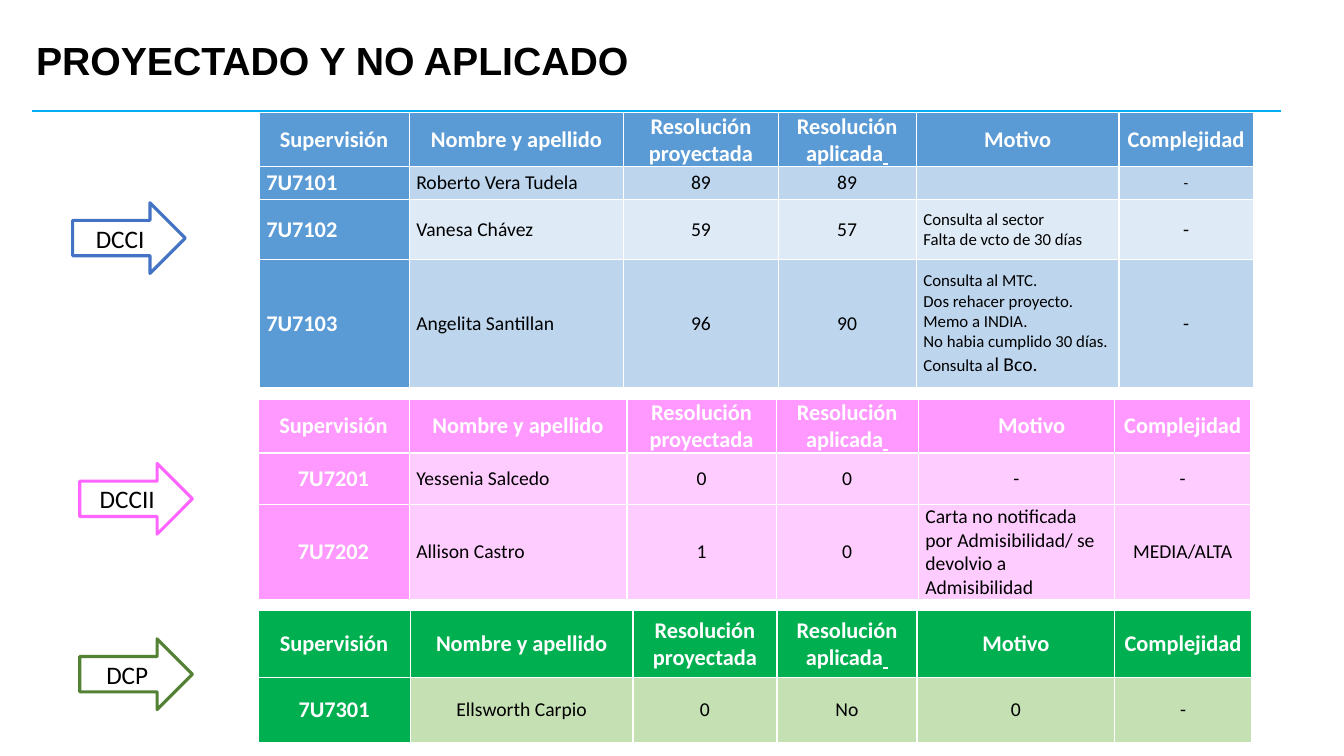
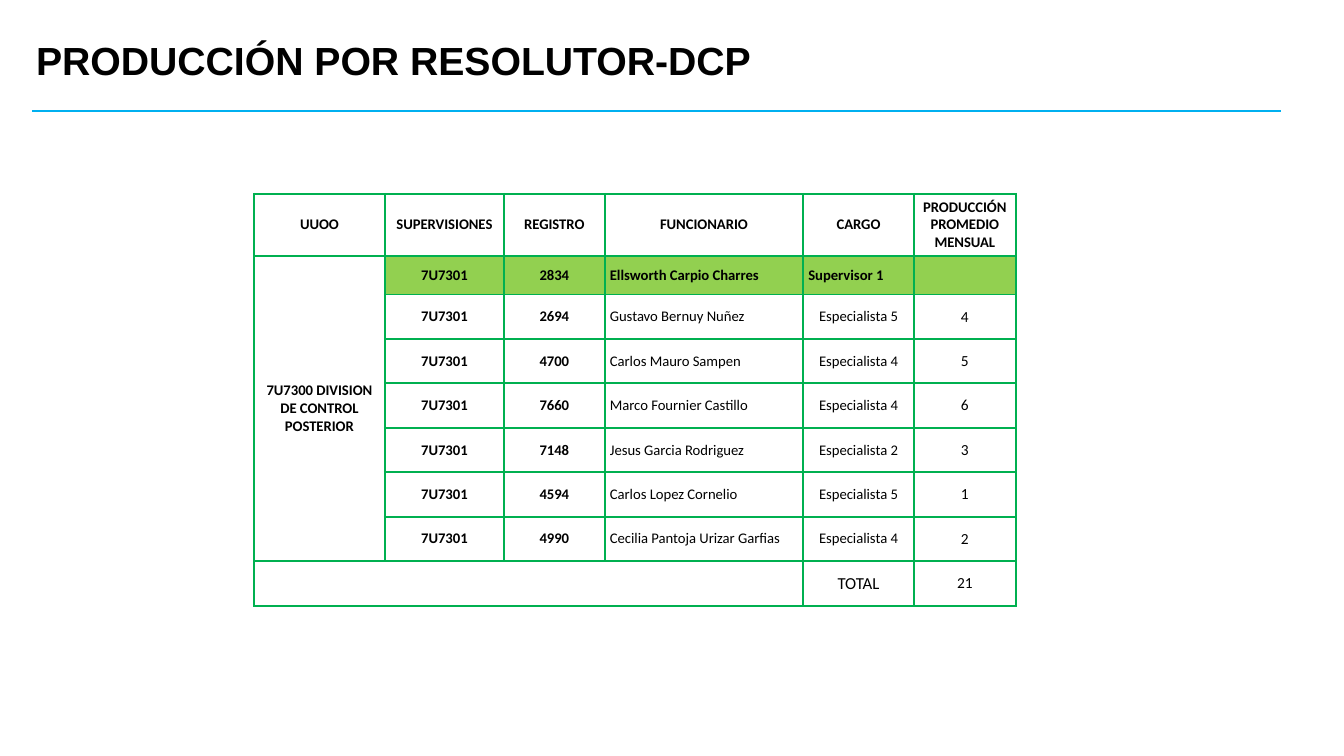
from lxml.etree import SubElement
from pptx import Presentation
from pptx.dml.color import RGBColor
from pptx.enum.shapes import MSO_CONNECTOR, MSO_SHAPE
from pptx.enum.text import MSO_ANCHOR, PP_ALIGN
from pptx.oxml.ns import qn
from pptx.util import Cm, Pt

BLACK = RGBColor(0x00, 0x00, 0x00)
WHITE = RGBColor(0xFF, 0xFF, 0xFF)
RULE_BLUE = RGBColor(0x00, 0xB0, 0xF0)
ARROW_BLUE = RGBColor(0x44, 0x72, 0xC4)
ARROW_PINK = RGBColor(0xFF, 0x66, 0xFF)
ARROW_GREEN = RGBColor(0x54, 0x82, 0x35)
BLUE = RGBColor(0x5B, 0x9B, 0xD5)
BLUE_MID = RGBColor(0xBD, 0xD6, 0xEE)
BLUE_PALE = RGBColor(0xDE, 0xEA, 0xF6)
PINK = RGBColor(0xFF, 0x99, 0xFF)
PINK_PALE = RGBColor(0xFF, 0xCC, 0xFF)
GREEN = RGBColor(0x00, 0xB0, 0x50)
GREEN_PALE = RGBColor(0xC5, 0xE0, 0xB3)
LIME = RGBColor(0x92, 0xD0, 0x50)

TITLE_FONT, BODY_FONT = "Arial", "Calibri"
LEFT, CENTER = PP_ALIGN.LEFT, PP_ALIGN.CENTER

# A cell holds plain text, or a list of paragraphs made of (text, size, underline) runs.
REASONS_7103 = [
    [("Consulta al MTC.", 12, False)],
    [("Dos rehacer proyecto.", 12, False)],
    [("Memo a INDIA.", 12, False)],
    [("No habia cumplido 30 días.", 12, False)],
    [("Consulta a", 12, False), ("l Bco.", 14, False)],
]
APPLIED = [[("Resolución", 16, False), (" ", 16, True),
            ("aplicada", 16, False), (" ", 16, True)]]
HEADERS = ["Supervisión", "Nombre y apellido", "Resolución proyectada",
           APPLIED, "Motivo", "Complejidad"]
REASON_COLUMN = 4

DIVISIONS = [
    {"name": "DCCI", "arrow": (1.83, 5.11), "outline": ARROW_BLUE,
     "origin": (6.53, 2.84), "columns": (3.78, 5.41, 3.89, 3.48, 5.11, 3.38),
     "heights": (1.3, 0.84, 1.5, 3.23),
     "strong": BLUE, "bands": (BLUE_MID, BLUE_PALE),
     "code_align": LEFT, "name_align": LEFT, "reason_size": 12, "reason_indent": 0,
     "rows": [
         ["7U7101", "Roberto Vera Tudela", "89", "89", "", [[("-", 11, False)]]],
         ["7U7102", "Vanesa Chávez", "59", "57",
          "Consulta al sector\nFalta de vcto de 30 días", "-"],
         ["7U7103", "Angelita Santillan", "96", "90", REASONS_7103, "-"],
     ]},
    {"name": "DCCII", "arrow": (2.01, 11.68), "outline": ARROW_PINK,
     "origin": (6.5, 10.06), "columns": (3.81, 5.49, 3.76, 3.58, 4.95, 3.43),
     "heights": (1.35, 1.3, 2.39),
     "strong": PINK, "bands": (PINK_PALE,),
     "code_align": CENTER, "name_align": LEFT, "reason_size": 14, "reason_indent": 0.77,
     "rows": [
         ["7U7201", "Yessenia Salcedo", "0", "0", "-", "-"],
         ["7U7202", "Allison Castro", "1", "0",
          "Carta no notificada por Admisibilidad/ se devolvio a Admisibilidad",
          "MEDIA/ALTA"],
     ]},
    {"name": "DCP", "arrow": (2.01, 16.1), "outline": ARROW_GREEN,
     "origin": (6.5, 15.39), "columns": (3.84, 5.61, 3.63, 3.53, 4.98, 3.45),
     "heights": (1.68, 1.63),
     "strong": GREEN, "bands": (GREEN_PALE,),
     "code_align": CENTER, "name_align": CENTER, "reason_size": 14, "reason_indent": 0,
     "rows": [["7U7301", "Ellsworth Carpio", "0", "No", "0", "-"]]},
]

STAFF_HEADERS = ["UUOO", "SUPERVISIONES", "REGISTRO", "FUNCIONARIO", "CARGO",
                 "PRODUCCIÓN PROMEDIO MENSUAL"]
UNIT = "7U7300 DIVISION DE CONTROL POSTERIOR"
SUPERVISION = "7U7301"
STAFF = [
    ("2834", "Ellsworth Carpio Charres", "Supervisor 1", ""),
    ("2694", "Gustavo Bernuy Nuñez", "Especialista 5", "4"),
    ("4700", "Carlos Mauro Sampen", "Especialista 4", "5"),
    ("7660", "Marco Fournier Castillo", "Especialista 4", "6"),
    ("7148", "Jesus Garcia Rodriguez", "Especialista 2", "3"),
    ("4594", "Carlos Lopez Cornelio", "Especialista 5", "1"),
    ("4990", "Cecilia Pantoja Urizar Garfias", "Especialista 4", "2"),
]
STAFF_COLUMNS = (3.3, 3, 2.54, 5, 2.79, 2.57)
STAFF_HEIGHTS = (1.57, 0.97) + (1.12,) * len(STAFF)


def add_titled_slide(deck, title):
    slide = deck.slides.add_slide(deck.slide_layouts[6])
    rule = slide.shapes.add_connector(
        MSO_CONNECTOR.STRAIGHT, Cm(0.81), Cm(2.79), Cm(32.28), Cm(2.79))
    rule.line.color.rgb = RULE_BLUE
    rule.line.width = Pt(1.5)
    SubElement(rule._element.spPr, qn("a:effectLst"))

    heading = slide.shapes.add_textbox(Cm(0.66), Cm(0.69), Cm(29.21), Cm(1.78)).text_frame
    heading.word_wrap = True
    heading.vertical_anchor = MSO_ANCHOR.MIDDLE
    heading.text = title
    heading.paragraphs[0].line_spacing = 0.9
    style_run(heading.paragraphs[0].runs[0], 28, BLACK, True, TITLE_FONT)
    return slide


def style_run(run, size, color, bold=False, font=BODY_FONT):
    run.font.name = font
    run.font.size = Pt(size)
    run.font.bold = bold
    run.font.color.rgb = color


def add_arrow(slide, label, position, outline):
    arrow = slide.shapes.add_shape(
        MSO_SHAPE.RIGHT_ARROW, *map(Cm, position), Cm(2.84), Cm(1.78))
    arrow.shadow.inherit = False
    arrow.fill.solid()
    arrow.fill.fore_color.rgb = WHITE
    arrow.line.color.rgb = outline
    arrow.line.width = Pt(2.25)
    frame = arrow.text_frame
    frame.text = label
    frame.vertical_anchor = MSO_ANCHOR.MIDDLE
    frame.paragraphs[0].alignment = CENTER
    style_run(frame.paragraphs[0].runs[0], 18, BLACK)


def add_grid(slide, origin, columns, heights, border, border_width, margin):
    """Add an empty table with one border style and one side margin for all cells."""
    table = slide.shapes.add_table(
        len(heights), len(columns), *map(Cm, origin),
        Cm(sum(columns)), Cm(sum(heights))).table
    table.first_row = table.horz_banding = False
    for column, width in zip(table.columns, columns):
        column.width = Cm(width)
    for row, height in zip(table.rows, heights):
        row.height = Cm(height)
    for cell in table.iter_cells():
        cell.margin_left = cell.margin_right = Cm(margin)
        cell.margin_top = cell.margin_bottom = 0
        cell.vertical_anchor = MSO_ANCHOR.MIDDLE
        for side in ("a:lnL", "a:lnR", "a:lnT", "a:lnB"):
            edge = SubElement(cell._tc.get_or_add_tcPr(), qn(side), w=str(Pt(border_width)))
            SubElement(SubElement(edge, qn("a:solidFill")), qn("a:srgbClr"), val=str(border))
        cell.fill.background()
    return table


def write_cell(cell, content, size, color=BLACK, bold=False, align=CENTER, fill=None):
    if fill is not None:
        cell.fill.solid()
        cell.fill.fore_color.rgb = fill
    frame = cell.text_frame
    if not content:
        SubElement(frame.paragraphs[0]._p, qn("a:endParaRPr"), sz=str(int(size * 100)))
        return
    if isinstance(content, str):
        content = [[(line, size, False)] for line in content.split("\n")]
    for i, pieces in enumerate(content):
        paragraph = frame.add_paragraph() if i else frame.paragraphs[0]
        paragraph.alignment = align
        for text, run_size, underline in pieces:
            run = paragraph.add_run()
            run.text = text
            style_run(run, run_size, color, bold)
            if underline:
                run.font.underline = True


def add_division_table(slide, division):
    table = add_grid(slide, division["origin"], division["columns"],
                     division["heights"], WHITE, 1, 0.18)
    strong, bands = division["strong"], division["bands"]
    for c, header in enumerate(HEADERS):
        write_cell(table.cell(0, c), header, 16, WHITE, True, fill=strong)
    if division["reason_indent"]:
        reason_header = table.cell(0, REASON_COLUMN).text_frame.paragraphs[0]
        reason_header._p.get_or_add_pPr().set("marL", str(Cm(division["reason_indent"])))

    for r, (code, name, *values) in enumerate(division["rows"], 1):
        band = bands[(r - 1) % len(bands)]
        write_cell(table.cell(r, 0), code, 16, WHITE, True, division["code_align"], strong)
        write_cell(table.cell(r, 1), name, 14, align=division["name_align"], fill=band)
        for c, value in enumerate(values, 2):
            is_reason = c == REASON_COLUMN
            write_cell(table.cell(r, c), value,
                       division["reason_size"] if is_reason else 14,
                       align=LEFT if is_reason and len(value) > 1 else CENTER, fill=band)


def add_staff_table(slide):
    table = add_grid(slide, (6.4, 4.88), STAFF_COLUMNS, STAFF_HEIGHTS, GREEN, 1.5, 0.13)
    total_row = len(STAFF) + 1
    for c, header in enumerate(STAFF_HEADERS):
        write_cell(table.cell(0, c), header, 10.5, bold=True)

    table.cell(1, 0).merge(table.cell(len(STAFF), 0))
    write_cell(table.cell(1, 0), UNIT, 10.5, bold=True)
    for r, (register, name, post, output) in enumerate(STAFF, 1):
        lead = r == 1
        fill = LIME if lead else None
        for c, code in enumerate((SUPERVISION, register), 1):
            write_cell(table.cell(r, c), code, 10.5, bold=True, fill=fill)
        write_cell(table.cell(r, 3), name, 10.5, bold=lead, align=LEFT, fill=fill)
        write_cell(table.cell(r, 4), post, 10.5, bold=lead,
                   align=LEFT if lead else CENTER, fill=fill)
        write_cell(table.cell(r, 5), output, 11, fill=fill or WHITE)

    table.cell(total_row, 0).merge(table.cell(total_row, 3))
    total = sum(int(output or 0) for *_, output in STAFF)
    write_cell(table.cell(total_row, 4), "TOTAL", 12)
    write_cell(table.cell(total_row, 5), str(total), 11, fill=WHITE)


def main():
    deck = Presentation()
    deck.slide_width, deck.slide_height = Cm(33.87), Cm(19.05)

    unapplied = add_titled_slide(deck, "PROYECTADO Y NO APLICADO")
    for division in DIVISIONS:
        add_arrow(unapplied, division["name"], division["arrow"], division["outline"])
        add_division_table(unapplied, division)

    add_staff_table(add_titled_slide(deck, "PRODUCCIÓN POR RESOLUTOR-DCP"))
    deck.save("out.pptx")


if __name__ == "__main__":
    main()
